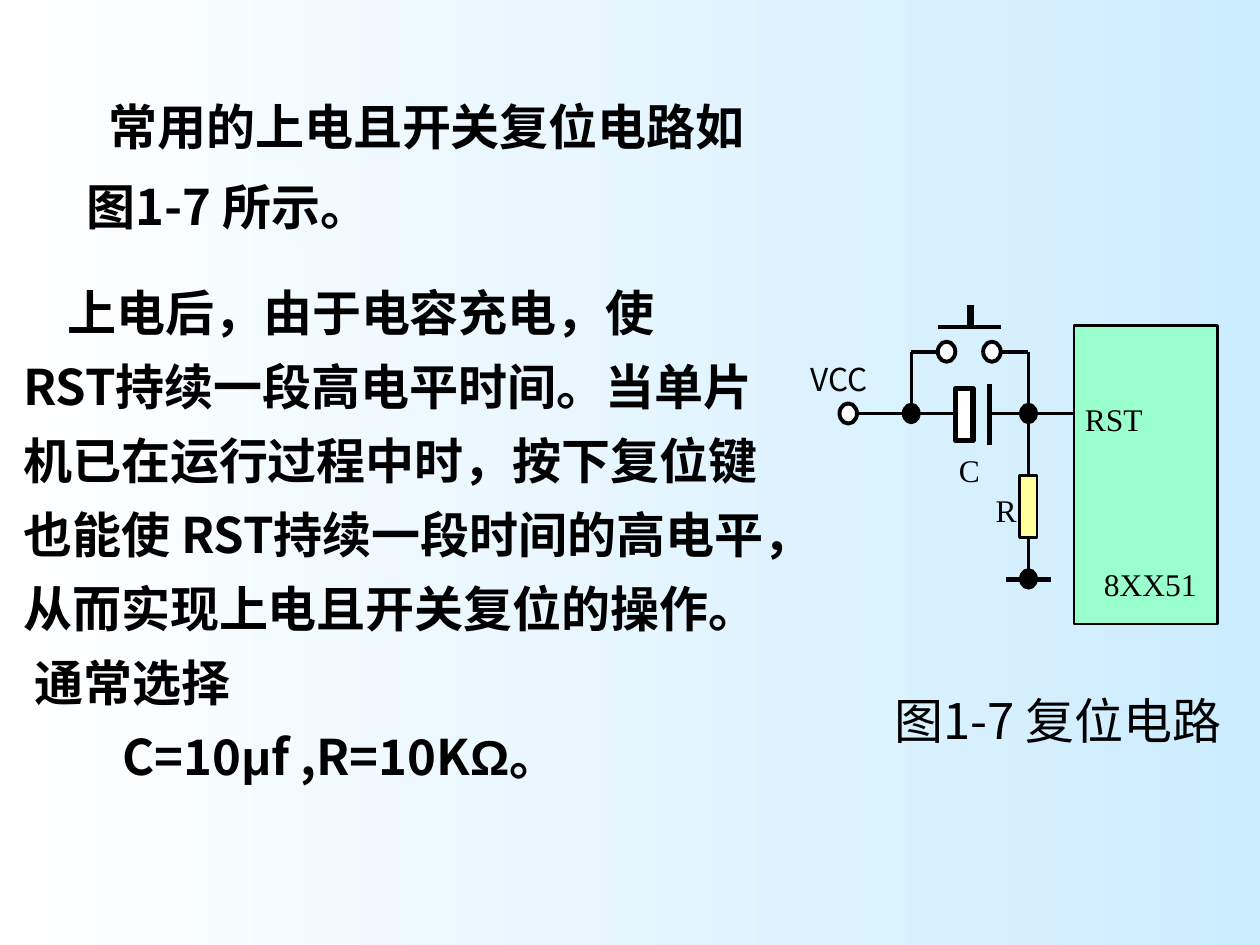
from lxml import etree
from pptx import Presentation
from pptx.dml.color import RGBColor
from pptx.enum import shapes as kinds, text as modes
from pptx.oxml import ns
from pptx.util import Pt

HUES = {"ink": "000000", "white": "FFFFFF", "sky": "CCECFF",
        "chip": "99FFCC", "load": "FFFF99"}
SANS, SERIF, GREEK = "Noto Sans CJK SC", "Times New Roman", "Arial"
SPACE = 6.3


def hue(name):
    return RGBColor.from_string(HUES[name])


def add_run(para, words, face, size, bold=False):
    run = para.add_run()
    run.text = words
    font = run.font
    font.name, font.size, font.bold = face, Pt(size), bold
    font.color.rgb = hue("ink")
    east = etree.SubElement(font._element, ns.qn("a:ea"))
    east.set("typeface", face)


def add_text(parts, box, lines, size, lead=1.0, bold=False, wrap=True):
    frame = parts.add_textbox(*map(Pt, box)).text_frame
    frame.word_wrap = wrap
    frame.vertical_anchor = modes.MSO_ANCHOR.TOP
    for i, (dent, runs) in enumerate(lines):
        para = frame.paragraphs[0] if i == 0 else frame.add_paragraph()
        para.line_spacing = lead
        para.space_before = Pt(7 if i else 0)
        if dent:
            props = para._p.get_or_add_pPr()
            props.set("marL", str(Pt(dent * SPACE)))
            props.set("indent", "0")
        for words, face in runs:
            add_run(para, words, face, size, bold)


def add_part(parts, kind, box, fill, width):
    part = parts.add_shape(kind, *map(Pt, box))
    part.shadow.inherit = False
    part.fill.solid()
    part.fill.fore_color.rgb = hue(fill)
    part.line.color.rgb = hue("ink")
    part.line.width = Pt(width)


def add_wire(parts, ends, width):
    wire = parts.add_connector(kinds.MSO_CONNECTOR.STRAIGHT, *map(Pt, ends))
    wire.line.color.rgb = hue("ink")
    wire.line.width = Pt(width)
    etree.SubElement(wire._element.spPr, ns.qn("a:effectLst"))


def add_intro(slide, left, top, width, height):
    lines = [(3, [("常用的上电且开关复位电路如", SANS)]),
             (1, [("图1-7 所示。", SANS)])]
    add_text(slide.shapes, (left, top, width, height), lines, 28, 1.15, True)


def add_body(slide, left, top, width, height):
    plain = [(5, "上电后，由于电容充电，使"),
             (1, "RST持续一段高电平时间。当单片"),
             (1, "机已在运行过程中时，按下复位键"),
             (1, "也能使 RST持续一段时间的高电平，"),
             (1, "从而实现上电且开关复位的操作。"),
             (2, "通常选择")]
    lines = [(dent, [(words, SANS)]) for dent, words in plain]
    lines.append((10, [("C=10", SANS), ("μ", GREEK), ("f ,R=10K", SANS),
                       ("Ω", GREEK), ("。", SANS)]))
    add_text(slide.shapes, (left, top, width, height), lines, 28, 1.05, True)


def add_circuit(slide, left, top):
    parts = slide.shapes.add_group_shape().shapes
    rect = kinds.MSO_SHAPE.RECTANGLE
    dot = kinds.MSO_SHAPE.FLOWCHART_CONNECTOR
    rail, key, base = 62, 26.7, 157
    near, far, chip = 64.5, 131.5, 157.5
    wires = [(28.5, rail, near, rail, 1.5), (near, rail, 90, rail, 1.5),
             (110.5, rail, chip, rail, 1.5), (109.2, 45, 109.2, 80, 3),
             (near, key, near, rail, 1.5), (near, key, 79.7, key, 2.25),
             (115.6, key, far, key, 2.25), (far, key, far, 97.5, 1.5),
             (79.7, 12.5, 115.7, 12.5, 2.25), (98.4, 0, 98.4, 11.8, 4.5),
             (far, 132.5, far, base, 1.5),
             (far - 13, base, far + 13, base, 3)]
    for x, y, to_x, to_y, width in wires:
        add_wire(parts, (left + x, top + y, left + to_x, top + to_y), width)

    blocks = [(chip, 11.8, 82, 170.6, "chip", 1.5),
              (89.8, 47.8, 10, 29.5, "white", 3),
              (far - 5, 97.4, 10, 35.3, "load", 1.5)]
    for x, y, width, height, fill, edge in blocks:
        add_part(parts, rect, (left + x, top + y, width, height), fill, edge)

    wide, tall = 10, 11.5
    dots = [(near, rail, "ink", 0.75), (far, rail, "ink", 0.75),
            (far, base - 0.5, "ink", 0.75), (28.5, rail, "white", 2.25),
            (84.7, key, "white", 2.25), (110.6, key, "white", 2.25)]
    for x, y, fill, edge in dots:
        box = (left + x - wide / 2, top + y - tall / 2, wide, tall)
        add_part(parts, dot, box, fill, edge)

    labels = [("RST", 156.7, 50.6, 57, SERIF, 1),
              ("8XX51", 167.5, 145, 72, SERIF, 1),
              ("R", 105.6, 103, 26, SERIF, 1),
              ("C", 84.7, 80, 26, SERIF, 1),
              ("VCC", 0, 23.8, 64, SANS, 1.2)]
    for words, x, y, width, face, lead in labels:
        add_text(parts, (left + x, top + y, width, 29),
                 [(0, [(words, face)])], 18, lead, wrap=False)


def add_caption(slide, left, top, width, height):
    add_text(slide.shapes, (left, top, width, height),
             [(0, [("图1-7 复位电路", SANS)])], 28, 1.2, wrap=False)


def add_ground(slide):
    fill = slide.background.fill
    fill.gradient()
    fill.gradient_angle = 0
    for stop, name, place in zip(fill.gradient_stops, ("white", "sky"), (0, 1)):
        stop.color.rgb = hue(name)
        stop.position = place


def main():
    deck = Presentation()
    deck.slide_width, deck.slide_height = Pt(720), Pt(540)
    slide = deck.slides.add_slide(deck.slide_layouts[6])
    add_ground(slide)
    add_body(slide, 0, 156.3, 720, 383.7)
    add_circuit(slide, 456.2, 174.3)
    add_intro(slide, 36, 46.7, 630, 91)
    add_caption(slide, 504, 384.5, 216, 48)
    deck.save("out.pptx")


if __name__ == "__main__":
    main()
